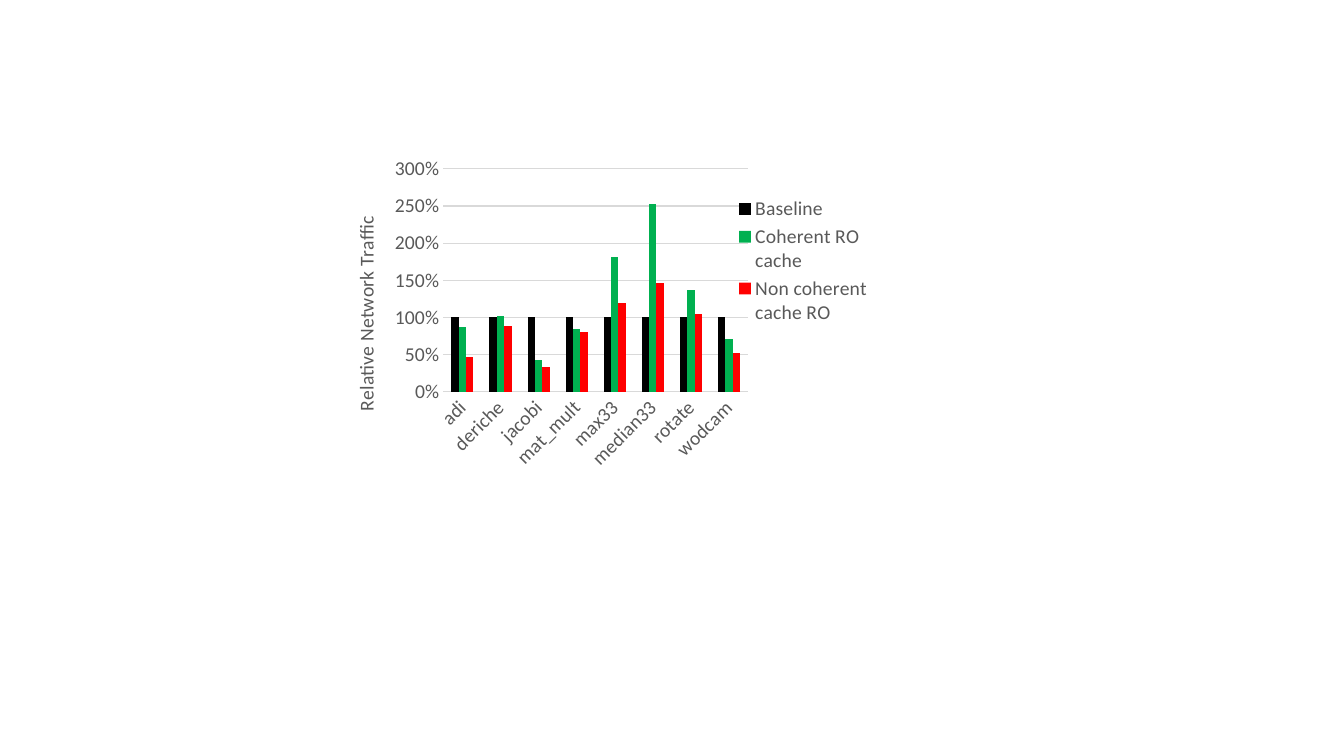
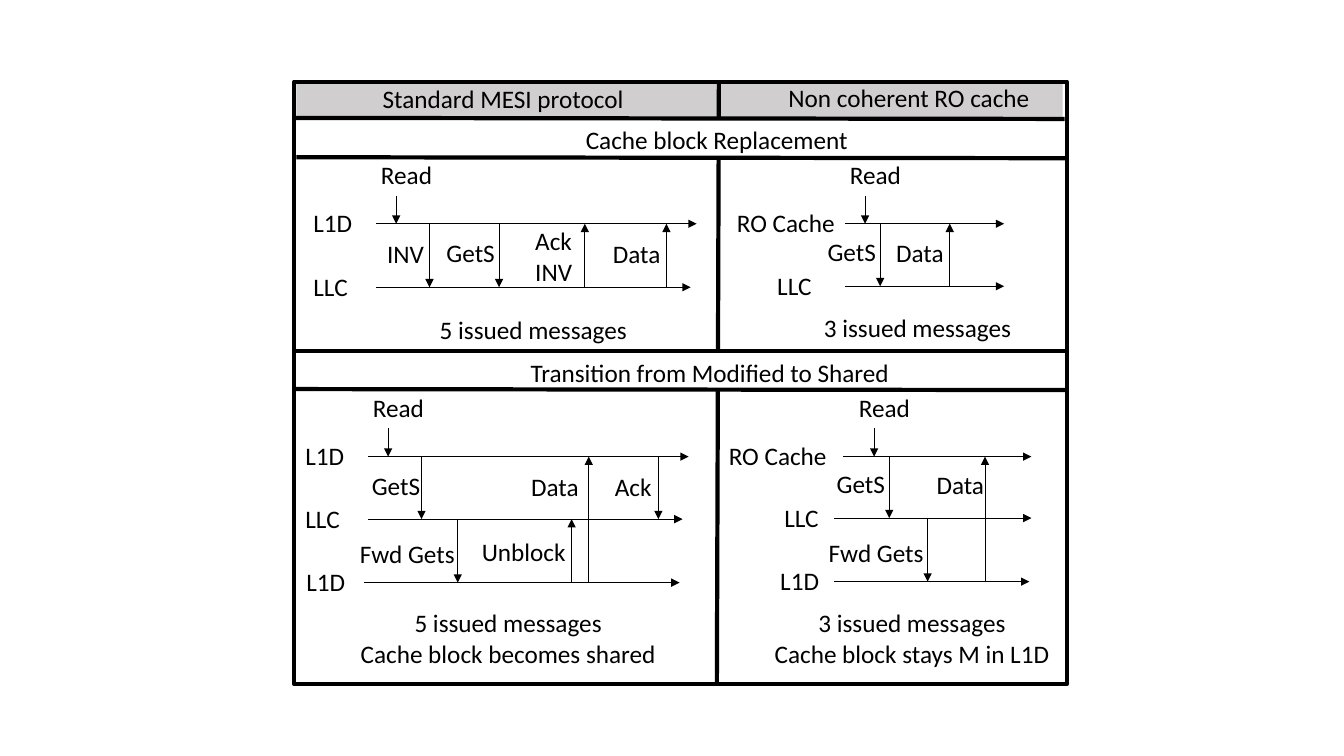
"""Build a network traffic chart and a comparison of cache message sequences."""
from lxml import etree
from pptx import Presentation
from pptx.chart.data import CategoryChartData
from pptx.dml.color import RGBColor
from pptx.enum.chart import XL_CHART_TYPE, XL_LEGEND_POSITION, XL_TICK_MARK
from pptx.enum.shapes import MSO_CONNECTOR, MSO_SHAPE
from pptx.enum.text import MSO_AUTO_SIZE, PP_ALIGN
from pptx.oxml import parse_xml
from pptx.oxml.ns import nsdecls, qn
from pptx.util import Emu, Pt

COLUMNS = XL_CHART_TYPE.COLUMN_CLUSTERED
RIGHT = XL_LEGEND_POSITION.RIGHT
NO_TICK = XL_TICK_MARK.NONE
STRAIGHT = MSO_CONNECTOR.STRAIGHT
RECT = MSO_SHAPE.RECTANGLE
FIT = MSO_AUTO_SIZE.SHAPE_TO_FIT_TEXT
LEFT, CENTER = PP_ALIGN.LEFT, PP_ALIGN.CENTER
PX = 9144
COLORS = {"ink": "000000", "muted": "595959", "grid": "D9D9D9", "header": "D0CECE",
          "band": "FFFFFF", "green": "00B050", "red": "FF0000"}
RGB = {name: RGBColor.from_string(value) for name, value in COLORS.items()}
BODY = {"size": Pt(18), "name": "Calibri"}
CHART_FONT = {"size": Pt(14), "name": "Calibri", "bold": False}


def add_text(s, text, x, y, w, h=40, align=LEFT):
    """Add a wrapped text box with one paragraph for each line."""
    tf = s.shapes.add_textbox(x * PX, y * PX, w * PX, h * PX).text_frame
    tf.word_wrap = True
    tf.auto_size = FIT
    tf.text = text
    for p in tf.paragraphs:
        p.alignment = align
        for r in p.runs:
            for key, value in BODY.items():
                setattr(r.font, key, value)
            r.font.color.rgb = RGB["ink"]


def add_line(s, x1, y1, x2, y2, width=0.5, arrow=True):
    """Add a black line, with an arrowhead at its end if asked."""
    line = s.shapes.add_connector(STRAIGHT, x1 * PX, y1 * PX, x2 * PX, y2 * PX)
    line.line.width = Pt(width)
    line.line.color.rgb = RGB["ink"]
    if arrow:
        etree.SubElement(line.line._get_or_add_ln(), qn("a:tailEnd"), type="triangle")
    etree.SubElement(line._element.spPr, qn("a:effectLst"))


prs = Presentation()
prs.slide_width, prs.slide_height = Emu(1333 * PX), Emu(750 * PX)
blank = prs.slide_layouts[6]

s = prs.slides.add_slide(blank)
data = CategoryChartData(number_format="0%")
data.categories = ["adi", "deriche", "jacobi", "mat_mult", "max33", "median33", "rotate", "wodcam"]
series = [
    ("Baseline", "ink", [1] * 8),
    ("Coherent RO cache", "green", [0.87, 1.02, 0.42, 0.85, 1.81, 2.52, 1.37, 0.71]),
    ("Non coherent cache RO", "red", [0.46, 0.88, 0.33, 0.8, 1.19, 1.46, 1.05, 0.52]),
]
for name, color, values in series:
    data.add_series(name, values)
chart = s.shapes.add_chart(COLUMNS, 346 * PX, 150 * PX, 521 * PX, 351 * PX, data).chart
chart.has_title = False
chart.has_legend = True
chart.legend.position = RIGHT
chart.legend.include_in_layout = False
plot = chart.plots[0]
plot.gap_width = 219
plot.overlap = 0
plot.vary_by_categories = False
for ser, (name, color, values) in zip(plot.series, series):
    ser.format.fill.solid()
    ser.format.fill.fore_color.rgb = RGB[color]

cat, val = chart.category_axis, chart.value_axis
for axis in (cat, val):
    axis.major_tick_mark = axis.minor_tick_mark = NO_TICK
val.minimum_scale, val.maximum_scale, val.major_unit = 0, 3, 0.5
val.tick_labels.number_format = "0%"
val.tick_labels.number_format_is_linked = False
val.has_major_gridlines = True
val.format.line.fill.background()
for line in (cat.format.line, val.major_gridlines.format.line):
    line.width = Pt(0.75)
    line.color.rgb = RGB["grid"]
title = val.axis_title.text_frame
title.text = "Relative Network Traffic"
for font in (chart.font, cat.tick_labels.font, val.tick_labels.font, chart.legend.font,
             title.paragraphs[0].runs[0].font):
    for key, value in CHART_FONT.items():
        setattr(font, key, value)
    font.color.rgb = RGB["muted"]
cat._element.find(qn("c:txPr")).find(qn("a:bodyPr")).set("rot", "-2700000")

plot_area = chart._chartSpace.chart.plotArea
legend = chart.legend._element
for parent, index, target, box in (
    (plot_area, 0, '<c:layoutTarget val="inner"/>', (0.18, 0.05, 0.58, 0.63)),
    (legend, 1, "", (0.73, 0.12, 0.27, 0.38)),
):
    for old in parent.findall(qn("c:layout")):
        parent.remove(old)
    modes = '<c:xMode val="edge"/><c:yMode val="edge"/>'
    sizes = "".join(f'<c:{key} val="{value}"/>' for key, value in zip("xywh", box))
    parent.insert(index, parse_xml(
        f'<c:layout {nsdecls("c")}><c:manualLayout>{target}{modes}{sizes}'
        "</c:manualLayout></c:layout>"))

s = prs.slides.add_slide(blank)
for x, y, w, h, color in ((294, 81, 760, 35, "header"), (294, 119, 764, 36, "band"),
                          (293, 350, 767, 35, "band")):
    sp = s.shapes.add_shape(RECT, x * PX, y * PX, w * PX, h * PX)
    sp.shadow.inherit = False
    sp.fill.solid()
    sp.fill.fore_color.rgb = RGB[color]
    sp.line.fill.background()
    if color == "header":
        add_line(s, 711, 680, 713, 81, 3, False)

panels = [
    {"read": 393,
     "lanes": [("L1D", 301, 373, 691, 222), ("LLC", 301, 373, 685, 285)],
     "messages": [(426, 0, 1, "INV", 374, 232, 68), (495, 0, 1, "GetS", 433, 231, 70),
                  (580, 1, 0, "Ack INV", 521, 219, 59), (661, 1, 0, "Data", 598, 232, 72)],
     "summary": ("5 issued messages", 416, 307, 226)},
    {"read": 858,
     "lanes": [("RO Cache", 721, 838, 996, 222), ("LLC", 761, 838, 996, 284)],
     "messages": [(873, 0, 1, "GetS", 811, 230, 70), (942, 1, 0, "Data", 879, 231, 72)],
     "summary": ("3 issued messages", 797, 305, 226)},
    {"read": 385,
     "lanes": [("L1D", 293, 365, 683, 453), ("LLC", 293, 365, 677, 515),
               ("L1D", 294, 361, 674, 578)],
     "messages": [(418, 0, 1, "GetS", 359, 462, 70), (454, 1, 2, "Fwd Gets", 347, 529, 122),
                  (567, 2, 1, "Unblock", 468, 527, 122), (584, 2, 0, "Data", 517, 463, 71),
                  (653, 0, 1, "Ack", 600, 463, 72)],
     "summary": ("5 issued messages\nCache block becomes shared", 340, 598, 328)},
    {"read": 867,
     "lanes": [("RO Cache", 713, 836, 1023, 453), ("LLC", 768, 827, 1023, 514),
               ("L1D", 764, 827, 1021, 577)],
     "messages": [(882, 0, 1, "GetS", 820, 460, 70), (920, 1, 2, "Fwd Gets", 812, 528, 122),
                  (977, 2, 0, "Data", 919, 461, 72)],
     "summary": ("3 issued messages\nCache block stays M in L1D", 750, 598, 309)},
]
for panel in panels:
    lane_y = [lane[-1] for lane in panel["lanes"]]
    read_x, top = panel["read"], lane_y[0]
    add_text(s, "Read", read_x - 25, top - 69, 78)
    add_line(s, read_x, top - 28, read_x, top)
    for label, label_x, start, end, y in panel["lanes"]:
        add_text(s, label, label_x, y - 21, 121 if label == "RO Cache" else 82)
        add_line(s, start, y, end, y)
    for x, source, target, label, label_x, label_y, w in panel["messages"]:
        add_line(s, x, lane_y[source], x, lane_y[target])
        add_text(s, label, label_x, label_y, w, 71 if label == "Ack INV" else 40)
    text, x, y, w = panel["summary"]
    add_text(s, text, x, y, w, 71 if "\n" in text else 40, CENTER)

frame = s.shapes.add_shape(RECT, 292 * PX, 81 * PX, 766 * PX, 598 * PX)
frame.shadow.inherit = False
frame.fill.background()
frame.line.width = Pt(3)
frame.line.color.rgb = RGB["ink"]
for text, x, y, w in (("Standard MESI protocol", 299, 78, 400),
                      ("Non coherent RO cache", 765, 77, 273),
                      ("Cache block Replacement", 491, 118, 440),
                      ("Transition from Modified to Shared", 484, 350, 440)):
    add_text(s, text, x, y, w, align=CENTER)
for x1, y1, x2, y2 in ((290, 117, 1056, 118), (294, 156, 1060, 157),
                       (292, 348, 1057, 348), (292, 386, 1057, 387)):
    add_line(s, x1, y1, x2, y2, 3, False)

prs.save("out.pptx")
